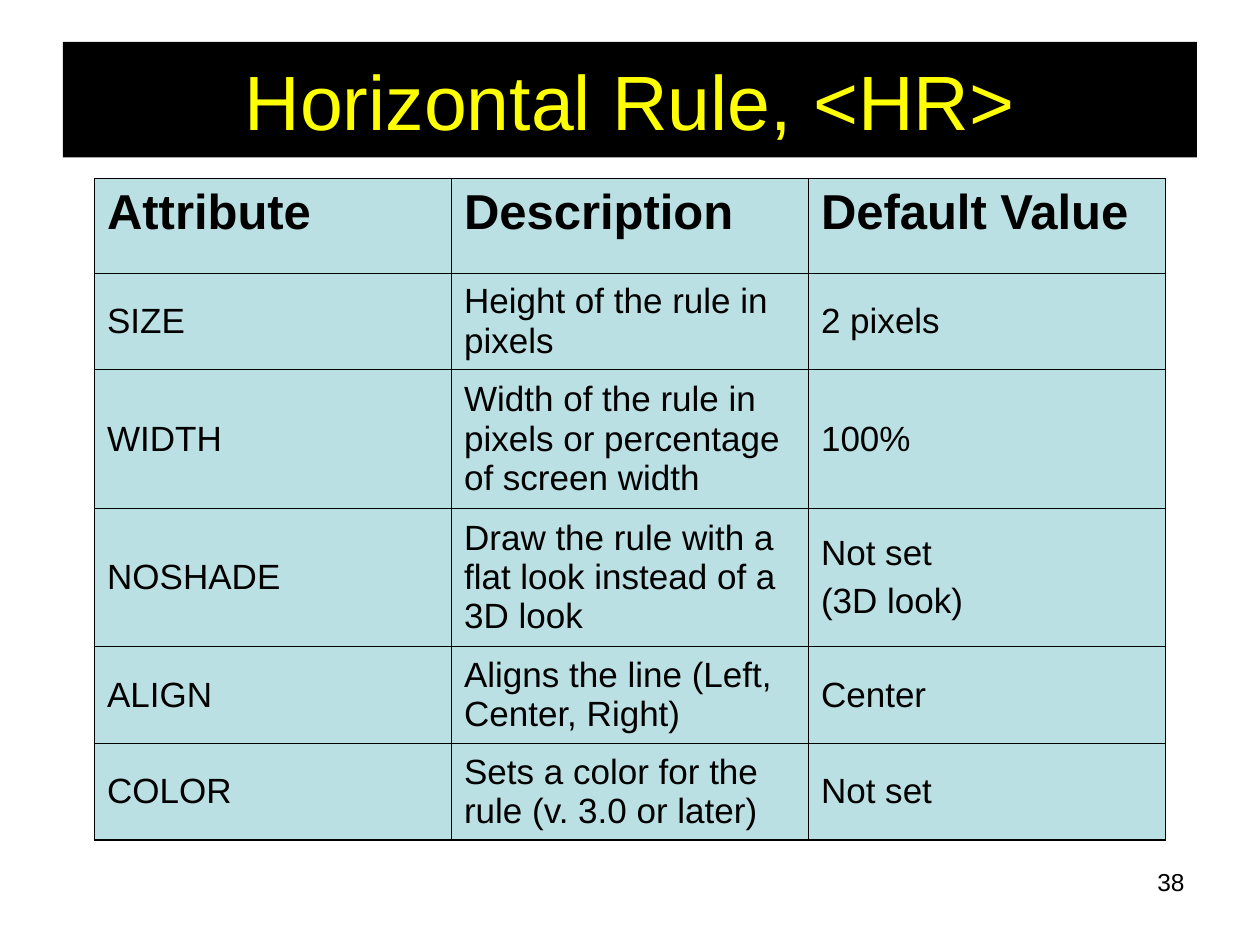
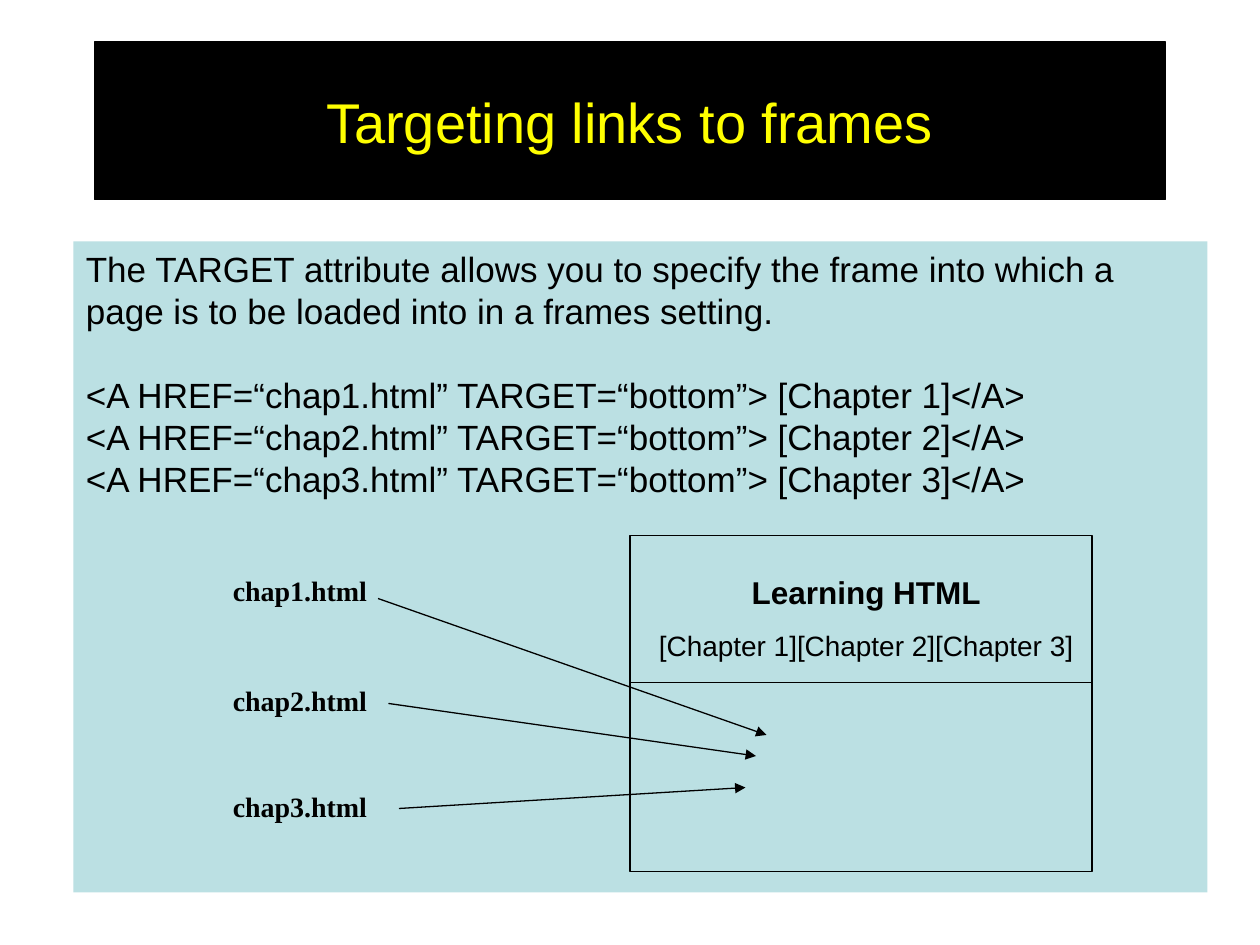
"""Build two slides on HTML: the rule tag and links that target frames."""
from dataclasses import dataclass

from lxml.etree import SubElement as Sub
from pptx import Presentation
from pptx.dml.color import RGBColor as Rgb
from pptx.enum.shapes import MSO_CONNECTOR as Link, MSO_SHAPE as Form
from pptx.enum.text import MSO_ANCHOR as Anchor, PP_ALIGN as Align
from pptx.oxml.ns import qn
from pptx.util import Inches, Pt


@dataclass(frozen=True)
class Theme:
    ink: Rgb = Rgb(0, 0, 0)
    gold: Rgb = Rgb(255, 255, 0)
    pale: Rgb = Rgb(0xBB, 0xE0, 0xE3)
    sans: str = "Arial"
    serif: str = "Times New Roman"
    head: int = 28
    body: int = 20
    lead: int = 18
    note: int = 16
    page: int = 14
    thin: float = 0.45
    edge: float = 1.08
    line: float = 0.75


look = Theme()
deck = Presentation()
deck.slide_width, deck.slide_height = Inches(10), Inches(7.5)
unit = deck.slide_width / 120


def write(frame, lines, size, align=Align.LEFT, ink=look.ink, font=look.sans,
          bold=False, gap=0, pitch=None):
    frame.word_wrap = True
    for i, text in enumerate(lines):
        para = frame.paragraphs[0] if i == 0 else frame.add_paragraph()
        para.alignment = align
        para.space_before = Pt(gap if i else 0)
        if pitch:
            para.line_spacing = Pt(pitch)
        run = para.add_run()
        run.text = text
        run.font.size, run.font.bold = Pt(size), bold
        run.font.name, run.font.color.rgb = font, ink


def block(host, spot, fill=None, line=None):
    form = host.add_shape(Form.RECTANGLE, *(round(n * unit) for n in spot))
    form.shadow.inherit = False
    if fill is None:
        form.fill.background()
    else:
        form.fill.solid()
        form.fill.fore_color.rgb = fill
    if line is None:
        form.line.fill.background()
    else:
        form.line.color.rgb, form.line.width = look.ink, Pt(line)
    return form


titles = [
    ("Horizontal Rule, <HR>", (6, 4, 108, 11), 44, None),
    ("Targeting links to frames", (9, 4, 102, 15), 32, look.line),
]
slides = []
for text, spot, size, line in titles:
    slide = deck.slides.add_slide(deck.slide_layouts[6])
    band = block(slide.shapes, spot, look.ink, line).text_frame
    band.vertical_anchor = Anchor.MIDDLE
    write(band, [text], size, Align.CENTER, look.gold)
    slides.append(slide.shapes)
rule, links = slides

page = rule.add_textbox(*(round(n * unit) for n in (86, 82, 28, 6.2)))
write(page.text_frame, ["38"], look.page, Align.RIGHT)

rows = [
    ("Attribute", "Description", "Default Value"),
    ("SIZE", "Height of the rule in pixels", "2 pixels"),
    ("WIDTH", "Width of the rule in pixels or percentage of screen width", "100%"),
    ("NOSHADE", "Draw the rule with a flat look instead of a 3D look",
     "Not set\n(3D look)"),
    ("ALIGN", "Aligns the line (Left, Center, Right)", "Center"),
    ("COLOR", "Sets a color for the rule (v. 3.0 or later)", "Not set"),
]
tall = (9, 9.2, 13.2, 13.2, 9.2, 9.2)
spot = (9, 17, 102, sum(tall))
grid = rule.add_table(len(rows), 3, *(round(n * unit) for n in spot)).table
grid.first_row = grid.horz_banding = False
for col in grid.columns:
    col.width = round(34 * unit)
for r, row in enumerate(rows):
    grid.rows[r].height = round(tall[r] * unit)
    for c, text in enumerate(row):
        cell = grid.cell(r, c)
        wide = {"lnL": r and c == 0, "lnR": r and c == 2,
                "lnT": False, "lnB": r == len(rows) - 1}
        for side, outer in wide.items():
            width = Pt(look.edge if outer else look.thin)
            rim = Sub(cell._tc.get_or_add_tcPr(), qn("a:" + side), w=str(width))
            Sub(Sub(rim, qn("a:solidFill")), qn("a:srgbClr"), val=str(look.ink))
        cell.fill.solid()
        cell.fill.fore_color.rgb = look.pale
        cell.vertical_anchor = Anchor.MIDDLE if r else Anchor.TOP
        write(cell.text_frame, text.split("\n"), look.body if r else look.head,
              bold=r == 0, gap=5, pitch=22.4 if r else None)

panel = block(links, (7, 23, 108, 62), look.pale).text_frame
panel.vertical_anchor = Anchor.TOP
tags = [f"<A HREF=“chap{n}.html” TARGET=“bottom”> [Chapter {n}]</A>"
        for n in (1, 2, 3)]
intro = ("The TARGET attribute allows you to specify the frame into which a "
         "page is to be loaded into in a frames setting.")
write(panel, [intro, *tags], look.body, pitch=24)
panel.paragraphs[1].space_before = Pt(24)

view = links.add_group_shape().shapes
menu = view.add_textbox(*(round(n * unit) for n in (61, 54, 43, 9.7))).text_frame
write(menu, ["Learning HTML", "[Chapter 1][Chapter 2][Chapter 3]"],
      look.note, Align.CENTER, gap=10)
top = menu.paragraphs[0].runs[0].font
top.size, top.bold = Pt(look.lead), True
block(view, (60, 51, 44, 32), line=look.line)

for n, y in enumerate((54, 64.5, 74.6), 1):
    name = links.add_textbox(*(round(v * unit) for v in (21, y, 17, 4.4)))
    write(name.text_frame, [f"chap{n}.html"], look.note, font=look.serif, bold=True)

lines = [
    (view, (60, 65, 104, 65), False),
    (links, (36, 57, 73, 70), True),
    (links, (37, 67, 72, 72), True),
    (links, (38, 77, 71, 75), True),
]
for host, ends, tip in lines:
    wire = host.add_connector(Link.STRAIGHT, *(round(n * unit) for n in ends))
    wire.line.color.rgb, wire.line.width = look.ink, Pt(look.line)
    if tip:
        Sub(wire.line._get_or_add_ln(), qn("a:tailEnd"), type="triangle")
    Sub(wire._element.spPr, qn("a:effectLst"))

deck.save("out.pptx")
